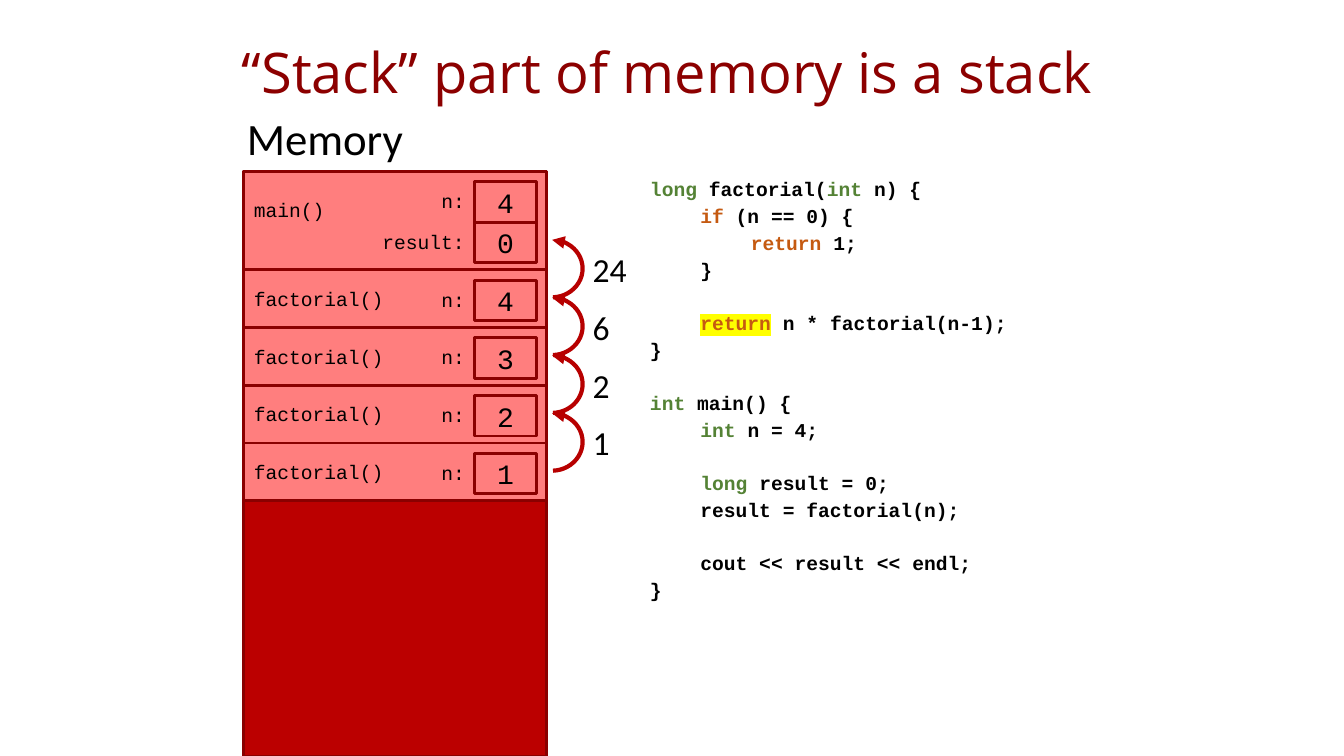
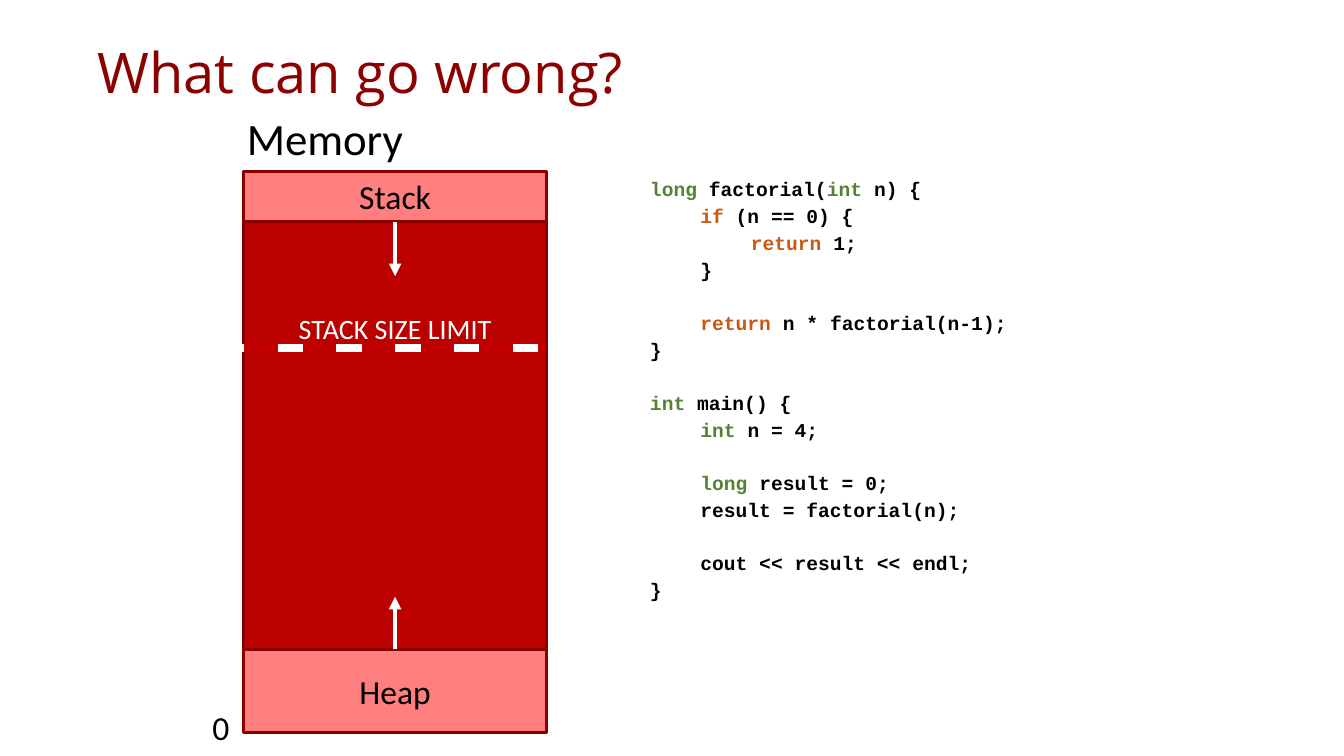
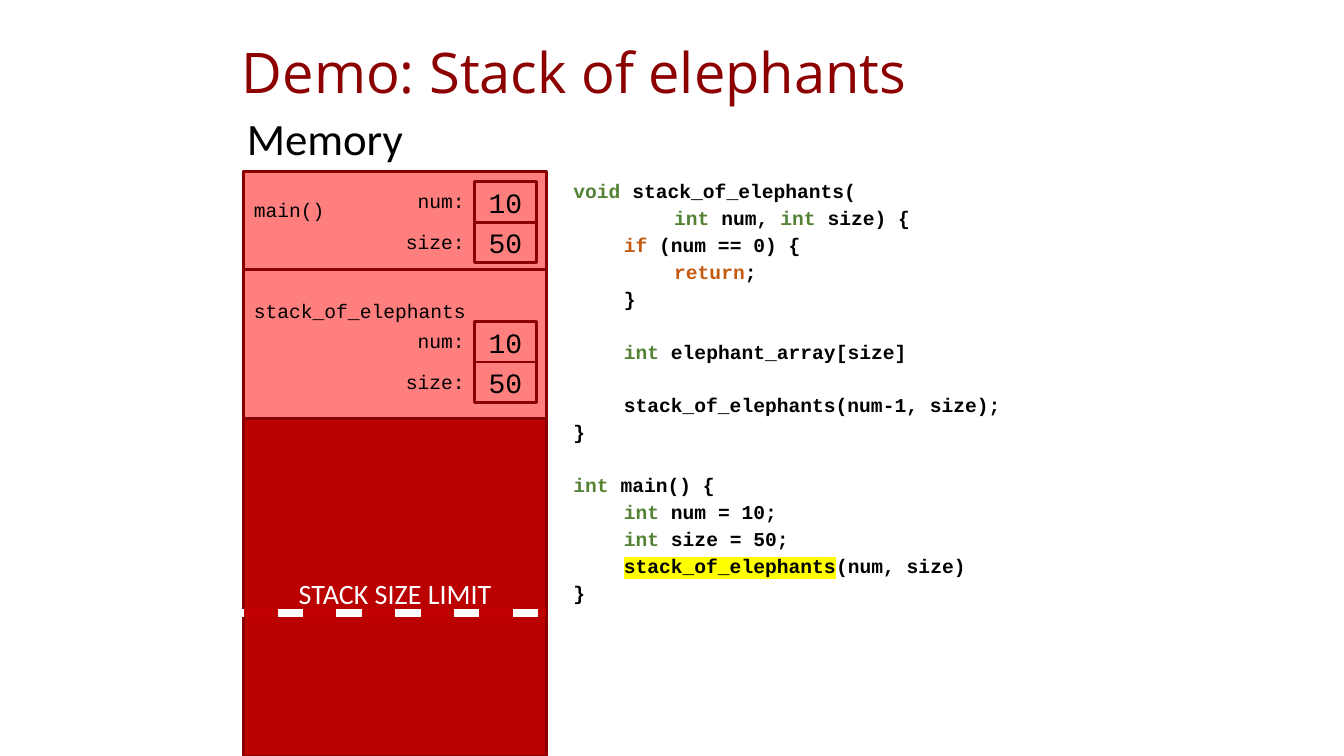
from dataclasses import dataclass
from itertools import groupby
from typing import NamedTuple

from lxml import etree
from pptx import Presentation
from pptx.dml.color import RGBColor
from pptx.enum.dml import MSO_LINE
from pptx.enum.shapes import MSO_CONNECTOR, MSO_SHAPE
from pptx.enum.text import MSO_ANCHOR, PP_ALIGN
from pptx.oxml.ns import qn
from pptx.util import Pt

RECTANGLE, ARC = MSO_SHAPE.RECTANGLE, MSO_SHAPE.ARC
STRAIGHT, DASH = MSO_CONNECTOR.STRAIGHT, MSO_LINE.DASH
LEFT, CENTER, RIGHT = PP_ALIGN.LEFT, PP_ALIGN.CENTER, PP_ALIGN.RIGHT
TOP, MIDDLE = MSO_ANCHOR.TOP, MSO_ANCHOR.MIDDLE


@dataclass(frozen=True)
class Theme:
    title: RGBColor = RGBColor(0x8C, 0x00, 0x00)
    border: RGBColor = RGBColor(0x8A, 0x00, 0x00)
    memory: RGBColor = RGBColor(0xBB, 0x00, 0x00)
    used: RGBColor = RGBColor(0xFF, 0x7E, 0x7E)
    arc: RGBColor = RGBColor(0xB7, 0x00, 0x00)
    dash: RGBColor = RGBColor(0xC0, 0x00, 0x00)
    ink: RGBColor = RGBColor(0x00, 0x00, 0x00)
    paper: RGBColor = RGBColor(0xFF, 0xFF, 0xFF)
    type_word: RGBColor = RGBColor(0x54, 0x82, 0x35)
    control_word: RGBColor = RGBColor(0xC5, 0x5A, 0x11)
    marker: RGBColor = RGBColor(0xFF, 0xFF, 0x00)
    title_font: str = "Open Sans"
    body_font: str = "Calibri"
    code_font: str = "Courier New"
    title_size: int = 40
    heading_size: int = 32
    body_size: int = 24
    value_size: int = 20
    code_size: int = 14


THEME = Theme()
WORD_COLORS = (dict.fromkeys(("long", "int", "void"), THEME.type_word)
               | dict.fromkeys(("if", "return"), THEME.control_word))


class Area(NamedTuple):
    """A rectangle, in points."""
    left: float
    top: float
    width: float
    height: float

    def lengths(self):
        return [Pt(value) for value in self]


class Variable(NamedTuple):
    name: str
    value: str


@dataclass(frozen=True)
class Frame:
    """A function call on the stack; blank_lines lift its name above the middle."""
    name: str
    variables: tuple[Variable, ...]
    top: float
    height: float
    cell_offset: float = 7.5
    blank_lines: int = 0


SLIDE_WIDTH, SLIDE_HEIGHT = 960, 540
MEMORY = Area(174.24, 122.4, 216, SLIDE_HEIGHT - 122.4)
MEMORY_CENTER = MEMORY.left + MEMORY.width / 2
HEADING = Area(169.2, 79.92, 240.48, 50.4)
TITLE = Area(169.2, 20.88, 620.64, 66.24)
WIDE_TITLE = TITLE._replace(left=66.24, width=828)
CODE = Area(457.2, 120.24, 390.24, 390.96)
WIDE_CODE = Area(402.48, 121.68, 432.72, 390.96)

CELL_LEFT, CELL_WIDTH, CELL_HEIGHT = 339.12, 43.92, 28.8
NAME_WIDTH, NAME_HEIGHT = 94.32, 27.36
MAIN_HEIGHT = 70.2
CALLS_TOP = MEMORY.top + MAIN_HEIGHT
CALL_PITCH = 41.28
TAB, BLANK_LINE = 36, 18.5
BLANK_NAME_LINE = 16

FACTORIAL_CODE = """\
long factorial(int n) {
    if (n == 0) {
        return 1;
    }

    return n * factorial(n-1);
}

int main() {
    int n = 4;

    long result = 0;
    result = factorial(n);

    cout << result << endl;
}"""

ELEPHANTS_CODE = """\
void stack_of_elephants(
        int num, int size) {
    if (num == 0) {
        return;
    }

    int elephant_array[size]

    stack_of_elephants(num-1, size);
}

int main() {
    int num = 10;
    int size = 50;
    stack_of_elephants(num, size)
}"""


def add_span(para, text: str, *, font: str = THEME.body_font, size: float = THEME.body_size,
             color: RGBColor = THEME.ink, bold: bool = False, marked: bool = False):
    span = para.add_run()
    span.text = text
    span.font.color.rgb = color
    span.font.name, span.font.size, span.font.bold = font, Pt(size), bold
    if marked:
        highlight = etree.Element(qn("a:highlight"))
        etree.SubElement(highlight, qn("a:srgbClr"), val=str(THEME.marker))
        span.font.fill  # the colour is in place before its highlight
        span._r.rPr.find(qn("a:solidFill")).addnext(highlight)


def write(box, text: str, *, align=LEFT, anchor=MIDDLE, wrap: bool = True,
          line_spacing: float = 1.0, space_before: float = 0, **span_format):
    """Put one paragraph of text into a shape or text box."""
    frame = box.text_frame
    frame.word_wrap, frame.vertical_anchor = wrap, anchor
    para = frame.paragraphs[0]
    para.alignment, para.line_spacing = align, line_spacing
    para.space_before = Pt(space_before)
    add_span(para, text, **span_format)


def add_label(page, area: Area, text: str, **text_format):
    box = page.shapes.add_textbox(*area.lengths())
    write(box, text, **text_format)
    return box


def add_block(page, area: Area, fill: RGBColor | None = None):
    block = page.shapes.add_shape(RECTANGLE, *area.lengths())
    block.shadow.inherit = False
    if fill is None:
        block.fill.background()
    else:
        block.fill.solid()
        block.fill.fore_color.rgb = fill
    block.line.color.rgb, block.line.width = THEME.border, Pt(2)
    return block


def add_arrowhead(shape, end: str):
    line = shape.element.spPr.find(qn("a:ln"))
    etree.SubElement(line, qn(f"a:{end}"), type="triangle")


def add_line(page, start: tuple[float, float], finish: tuple[float, float], color: RGBColor,
             width: float, dash=None, arrow: bool = False):
    points = [Pt(value) for value in (*start, *finish)]
    line = page.shapes.add_connector(STRAIGHT, *points)
    line.line.color.rgb, line.line.width = color, Pt(width)
    if dash is not None:
        line.line.dash_style = dash
    if arrow:
        add_arrowhead(line, "tailEnd")
    etree.SubElement(line.element.spPr, qn("a:effectLst"))


def add_page(deck, title: str, title_area: Area = TITLE, memory: Area = MEMORY):
    """Start a slide with its title and the memory column."""
    page = deck.slides.add_slide(deck.slide_layouts[6])
    box = add_label(page, title_area, title, line_spacing=0.9, font=THEME.title_font,
                    size=THEME.title_size, color=THEME.title)
    frame = box.text_frame
    frame.margin_left = frame.margin_right = Pt(3.6)
    add_block(page, memory, THEME.memory)
    add_label(page, HEADING, "Memory", anchor=TOP, line_spacing=0.9, space_before=10,
              size=THEME.heading_size)
    return page


def add_frame(page, frame: Frame):
    area = MEMORY._replace(top=frame.top, height=frame.height)
    block = add_block(page, area, THEME.used)
    write(block, frame.name, font=THEME.code_font, size=THEME.code_size)
    block.text_frame.margin_bottom = Pt(3.6 + frame.blank_lines * BLANK_NAME_LINE)
    for index, variable in enumerate(frame.variables):
        top = frame.top + frame.cell_offset + index * CELL_HEIGHT
        cell = add_block(page, Area(CELL_LEFT, top, CELL_WIDTH, CELL_HEIGHT))
        write(cell, variable.value, align=CENTER, font=THEME.code_font, size=THEME.value_size)
        name_area = Area(CELL_LEFT - NAME_WIDTH, top, NAME_WIDTH, NAME_HEIGHT)
        add_label(page, name_area, f"{variable.name}:", align=RIGHT,
                  font=THEME.code_font, size=THEME.code_size)


def add_code(page, area: Area, code: str, active_line: str = ""):
    """Write coloured code and mark the first word of the active line."""
    frame = page.shapes.add_textbox(*area.lengths()).text_frame
    frame.word_wrap = True
    para, gap = frame.paragraphs[0], 0
    for number, line in enumerate(code.splitlines()):
        text = line.strip()
        if not text:
            gap = BLANK_LINE
            continue
        if number:
            para = frame.add_paragraph()
        para.line_spacing, para.space_before = 1.15, Pt(gap)
        gap = 0
        depth = (len(line) - len(text)) // 4
        properties = para._p.get_or_add_pPr()
        properties.set("marL", str(Pt(depth * TAB)))
        properties.set("indent", "0")
        words = ["".join(letters) for _, letters in
                 groupby(text, lambda letter: letter.isalnum() or letter == "_")]
        styled = [(word, WORD_COLORS.get(word, THEME.ink), index == 0 and text == active_line)
                  for index, word in enumerate(words)]
        for (color, marked), group in groupby(styled, lambda item: item[1:]):
            add_span(para, "".join(item[0] for item in group), font=THEME.code_font,
                     size=THEME.code_size, color=color, bold=True, marked=marked)


def add_return(page, top: float, value: str):
    """Draw the arc that hands a returned value to the caller."""
    arc = page.shapes.add_shape(ARC, *Area(372.24, top, 43.92, 41.04).lengths())
    arc.shadow.inherit = False
    arc.adjustments[0], arc.adjustments[1] = 162.32, 52.63
    arc.fill.background()
    arc.line.color.rgb, arc.line.width = THEME.arc, Pt(3)
    add_arrowhead(arc, "headEnd")
    add_label(page, Area(416.16, top + 2.88, 51.84, 36), value, anchor=TOP)


def add_size_limit(page, top: float):
    right = MEMORY.left + MEMORY.width
    add_line(page, (MEMORY.left - 2.16, top), (right, top), THEME.paper, 6)
    add_label(page, MEMORY._replace(top=top - 32, height=36), "STACK SIZE LIMIT",
              align=CENTER, size=THEME.value_size, color=THEME.paper)
    add_line(page, (MEMORY.left, top), (right, top), THEME.dash, 6, dash=DASH)


def add_region(page, name: str, top: float, height: float, arrow_from: float, arrow_to: float):
    """Draw a part of memory and the arrow of its growth."""
    block = add_block(page, MEMORY._replace(top=top, height=height), THEME.used)
    write(block, name, align=CENTER)
    add_line(page, (MEMORY_CENTER, arrow_from), (MEMORY_CENTER, arrow_to),
             THEME.paper, 3, arrow=True)


def main_frame(*variables: Variable) -> Frame:
    return Frame("main()", variables, MEMORY.top, MAIN_HEIGHT, blank_lines=1)


def build_stack_page(deck):
    page = add_page(deck, "“Stack” part of memory is a stack")
    add_frame(page, main_frame(Variable("n", "4"), Variable("result", "0")))
    for index, (argument, returned) in enumerate(zip("4321", ("24", "6", "2", "1"))):
        step = index * CALL_PITCH
        add_frame(page, Frame("factorial()", (Variable("n", argument),),
                              CALLS_TOP + step, CALL_PITCH))
        add_return(page, 171.36 + step, returned)
    add_code(page, CODE, FACTORIAL_CODE, "return n * factorial(n-1);")


def build_limit_page(deck):
    page = add_page(deck, "What can go wrong?", WIDE_TITLE, MEMORY._replace(height=401.04))
    add_region(page, "Heap", 463.68, 59.76, 463.68, 426.24)
    add_region(page, "Stack", MEMORY.top, 36, 158.4, 197.28)
    add_label(page, Area(144.72, 501.12, 26.64, 36), "0", anchor=TOP, wrap=False)
    add_code(page, CODE, FACTORIAL_CODE)
    add_size_limit(page, 248.4)


def build_elephants_page(deck):
    page = add_page(deck, "Demo: Stack of elephants")
    variables = (Variable("num", "10"), Variable("size", "50"))
    add_frame(page, main_frame(*variables))
    add_frame(page, Frame("stack_of_elephants", variables, CALLS_TOP, 106.56,
                          cell_offset=37.2, blank_lines=3))
    add_code(page, WIDE_CODE, ELEPHANTS_CODE, "stack_of_elephants(num, size)")
    add_size_limit(page, 437.76)


def main():
    deck = Presentation()
    deck.slide_width, deck.slide_height = Pt(SLIDE_WIDTH), Pt(SLIDE_HEIGHT)
    build_stack_page(deck)
    build_limit_page(deck)
    build_elephants_page(deck)
    deck.save("out.pptx")


if __name__ == "__main__":
    main()
